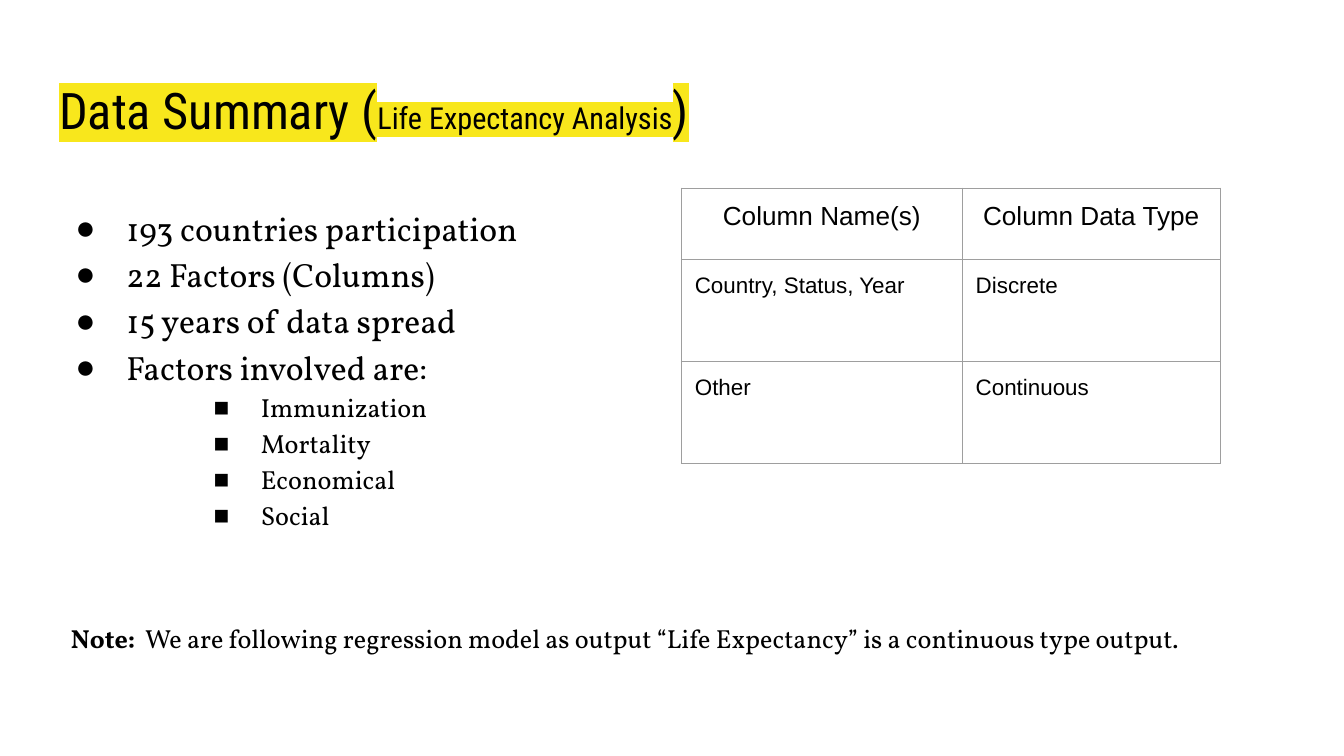
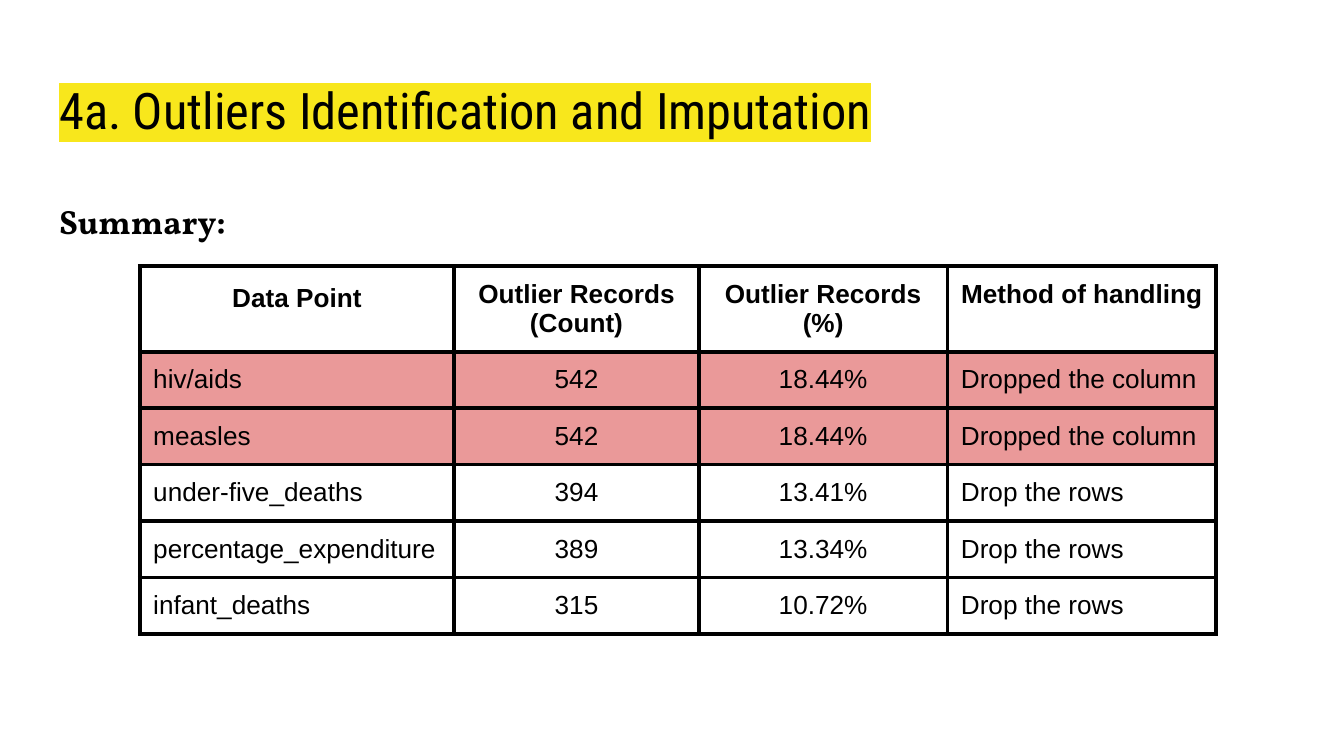
"""Build two slides on life expectancy data: a summary and the outlier handling."""
from lxml import etree
from pptx import Presentation
from pptx.dml.color import RGBColor
from pptx.enum.text import MSO_ANCHOR, MSO_AUTO_SIZE, PP_ALIGN
from pptx.oxml.ns import qn
from pptx.util import Inches, Pt

LEFT, CENTER = PP_ALIGN.LEFT, PP_ALIGN.CENTER
TOP = MSO_ANCHOR.TOP
NO_FIT = MSO_AUTO_SIZE.NONE

BLACK, YELLOW, GREY, PINK = "000000", "F8E71C", "9E9E9E", "EA9999"
TITLE_FONT, BODY_FONT, TABLE_FONT = "Roboto Condensed", "Vollkorn", "Arial"
SLIDE_WIDTH = 10
TITLE_BOX = (0.34, 0.49, 9.32, 0.63)
INSET = 0.1
SPACING = 1.15

SUMMARY_TITLE = [("Data Summary (", 27), ("Life Expectancy Analysis", 16.2), (")", 27)]
FACTS = [
    "193 countries participation",
    "22 Factors (Columns)",
    "15 years of data spread",
    "Factors involved are:",
]
FACTORS = ["Immunization", "Mortality", "Economical", "Social"]
NOTE = (
    "Note: ",
    " We are following regression model as output “Life Expectancy” "
    "is a continuous type output.",
)
DATA_TYPES = [
    ("Column Name(s)", "Column Data Type"),
    ("Country, Status, Year", "Discrete"),
    ("Other", "Continuous"),
]

OUTLIER_TITLE = [("4a. Outliers Identification and Imputation", 27)]
DROPPED = "Dropped the column"
OUTLIERS = [
    ("Data Point", "Outlier Records (Count)", "Outlier Records (%)", "Method of handling"),
    ("hiv/aids", "542", "18.44%", DROPPED),
    ("measles", "542", "18.44%", DROPPED),
    ("under-five_deaths", "394", "13.41%", "Drop the rows"),
    ("percentage_expenditure", "389", "13.34%", "Drop the rows"),
    ("infant_deaths", "315", "10.72%", "Drop the rows"),
]


def color(hex_string):
    return RGBColor.from_string(hex_string)


def format_run(run, font, size, bold=None, highlight=None):
    run.font.name = font
    run.font.size = Pt(size)
    run.font.bold = bold
    run.font.fill.solid()
    run.font.fill.fore_color.rgb = color(BLACK)
    if highlight:
        properties = run.font._element
        mark = etree.Element(qn("a:highlight"))
        etree.SubElement(mark, qn("a:srgbClr"), val=highlight)
        properties.find(qn("a:solidFill")).addnext(mark)


def place(shape, box):
    shape.left, shape.top, shape.width, shape.height = map(Inches, box)
    frame = shape.text_frame
    frame.word_wrap = True
    frame.auto_size = NO_FIT
    frame.vertical_anchor = TOP
    frame.margin_left = frame.margin_right = Inches(INSET)
    frame.margin_top = frame.margin_bottom = Inches(INSET)
    return frame


def add_slide(presentation, title_runs):
    slide = presentation.slides.add_slide(presentation.slide_layouts[1])
    paragraph = place(slide.shapes.title, TITLE_BOX).paragraphs[0]
    paragraph.alignment = LEFT
    for text, size in title_runs:
        run = paragraph.add_run()
        run.text = text
        format_run(run, TITLE_FONT, size, highlight=YELLOW)
    return slide


def format_body(paragraph, size, margin=0, hanging=0, bullet=None, bold=None):
    paragraph.alignment = LEFT
    paragraph.line_spacing = SPACING
    paragraph.space_before = Pt(0)
    properties = paragraph._p.get_or_add_pPr()
    properties.set("marL", str(Inches(margin)))
    properties.set("indent", str(-Inches(hanging)))
    if bullet:
        bullet_color = etree.SubElement(properties, qn("a:buClr"))
        etree.SubElement(bullet_color, qn("a:srgbClr"), val=BLACK)
        etree.SubElement(properties, qn("a:buFont"), typeface=TABLE_FONT)
        etree.SubElement(properties, qn("a:buChar"), char=bullet)
    else:
        etree.SubElement(properties, qn("a:buNone"))
    format_run(paragraph.runs[0], BODY_FONT, size, bold)


def add_borders(cell, hex_string, width):
    properties = cell._tc.get_or_add_tcPr()
    for index, side in enumerate(("a:lnL", "a:lnR", "a:lnT", "a:lnB")):
        line = etree.Element(qn(side), w=str(Pt(width)))
        fill = etree.SubElement(line, qn("a:solidFill"))
        etree.SubElement(fill, qn("a:srgbClr"), val=hex_string)
        properties.insert(index, line)


def add_table(slide, rows, position, widths, heights, border, sizes,
              bold_header=None, centered=()):
    left, top = position
    table = slide.shapes.add_table(
        len(rows), len(widths), Inches(left), Inches(top),
        Inches(sum(widths)), Inches(sum(heights))).table
    table.first_row = table.horz_banding = False
    for column, width in zip(table.columns, widths):
        column.width = Inches(width)
    for row_index, values in enumerate(rows):
        table.rows[row_index].height = Inches(heights[row_index])
        header = row_index == 0
        for column_index, value in enumerate(values):
            cell = table.cell(row_index, column_index)
            cell.margin_left = cell.margin_right = Inches(INSET)
            cell.margin_top = cell.margin_bottom = Inches(INSET)
            if DROPPED in values:
                cell.fill.solid()
                cell.fill.fore_color.rgb = color(PINK)
            else:
                cell.fill.background()
            add_borders(cell, *border)
            cell.text_frame.text = value
            paragraph = cell.text_frame.paragraphs[0]
            paragraph.alignment = CENTER if header or column_index in centered else LEFT
            format_run(paragraph.runs[0], TABLE_FONT, sizes[0 if header else 1],
                       bold_header if header else None)
    return table


def build_summary(presentation):
    slide = add_slide(presentation, SUMMARY_TITLE)
    frame = place(slide.placeholders[1], (0.34, 1.4, 4.21, 3.65))
    frame.text = "\n".join(FACTS + FACTORS)
    for index, paragraph in enumerate(frame.paragraphs):
        if index < len(FACTS):
            format_body(paragraph, 18, 0.5, 0.38, "●")
        else:
            paragraph.level = 2
            format_body(paragraph, 14, 1.5, 0.35, "■")
    add_table(slide, DATA_TYPES, (5.07, 1.4), (2.09, 1.92), (0.53, 0.76, 0.76),
              (GREY, 0.75), (14, 12))
    note_box = (0.43, 4.53, 8.97, 0.44)
    paragraph = place(slide.shapes.add_textbox(*map(Inches, note_box)), note_box).paragraphs[0]
    for text, bold in zip(NOTE, (True, False)):
        run = paragraph.add_run()
        run.text = text
        format_run(run, BODY_FONT, 14, bold)


def build_outliers(presentation):
    slide = add_slide(presentation, OUTLIER_TITLE)
    frame = place(slide.placeholders[1], (0.34, 1.35, 9.32, 3.65))
    frame.text = "Summary:"
    format_body(frame.paragraphs[0], 18, bold=True)
    heights = [0.57] + [0.42] * (len(OUTLIERS) - 1)
    table = add_table(slide, OUTLIERS, (1.04, 1.98), (2.34, 1.82, 1.85, 2), heights,
                      (BLACK, 2.25), (14, 14), bold_header=True, centered=(1, 2))
    table.cell(0, 0).text_frame.paragraphs[0].line_spacing = SPACING


def main():
    presentation = Presentation()
    presentation.slide_width = Inches(SLIDE_WIDTH)
    presentation.slide_height = Inches(SLIDE_WIDTH * 9 / 16)
    build_summary(presentation)
    build_outliers(presentation)
    presentation.save("out.pptx")


main()
